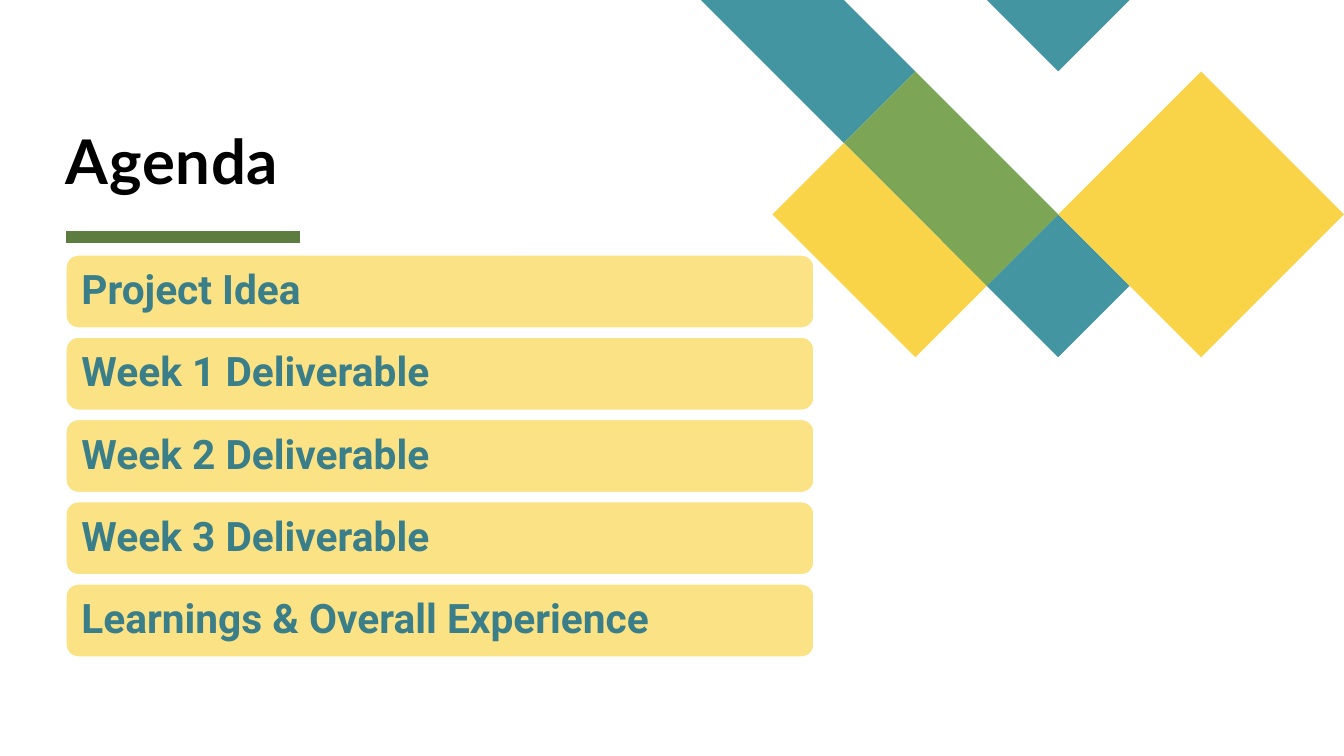
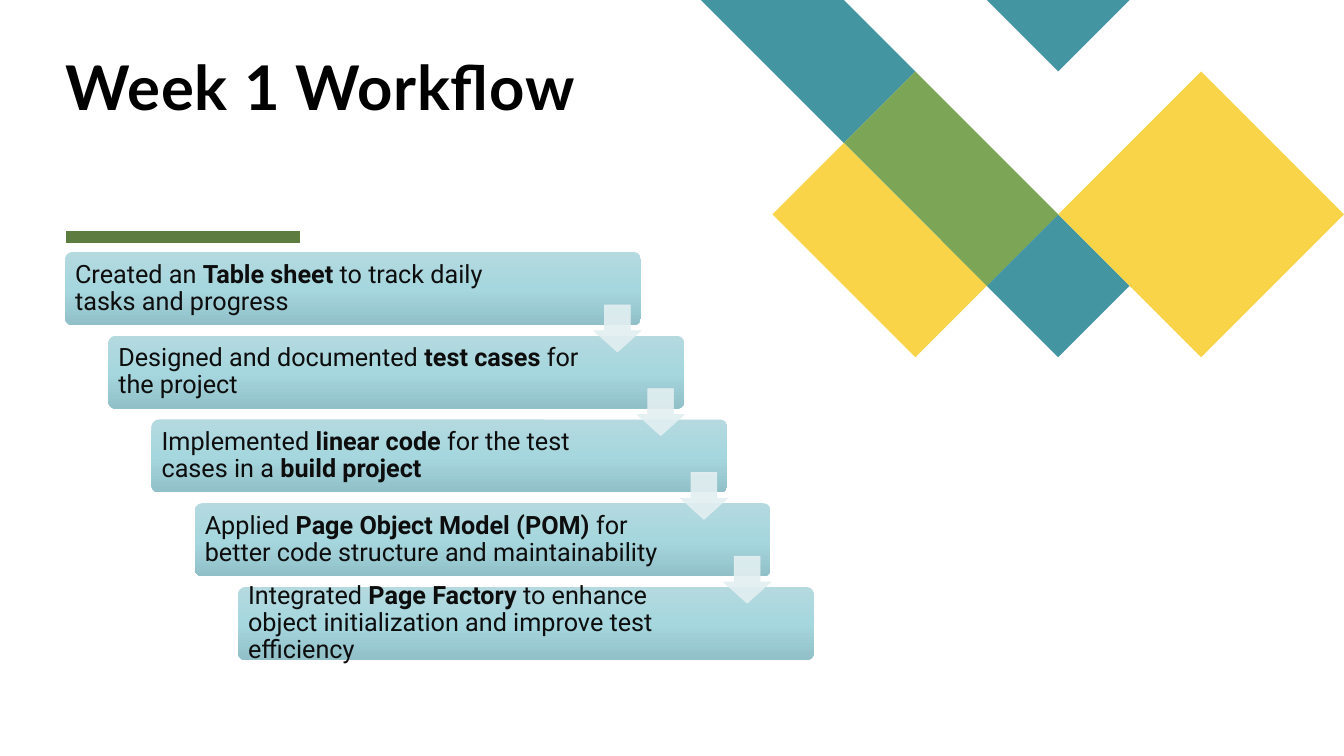
import lxml.etree
import pptx
import pptx.dml.color
import pptx.enum.shapes
import pptx.enum.text
import pptx.oxml.ns
import pptx.util

PX = 914400 / 100.8  # EMU per px
SLIDE_SIZE = (1344, 756)
TITLE_BOX = (66, 21, 748, 175)
HEADING_FONT, BODY_FONT = "Lato", "Roboto"
TEAL, YELLOW, GREEN = "4495A2", "F9D448", "7CA655"
RULE_GREEN, BLACK, WHITE = "5D7D40", "000000", "FFFFFF"
CARD_FILL, CARD_TEXT = "FBE284", "397E89"
STEP_GRADIENT = ((0, "B4DAE0"), (50, "A6D6DE"), (100, "91C0C8"))
STEP_TEXT, ARROW_FILL = "0D0D0D", "E2EFF1"

# Corner motif: outlines as (column, row) points on a square lattice
MOTIF_BOX = (701, 0, 643, 357)
MOTIF_COLUMNS = 9
MOTIF = (
    (TEAL, ((3, 1), (2, 0), (0, 0), (2, 2))),
    (TEAL, ((6, 4), (5, 3), (4, 4), (5, 5))),
    (YELLOW, ((2, 2), (1, 3), (3, 5), (4, 4))),
    (TEAL, ((6, 0), (4, 0), (5, 1))),
    (GREEN, ((3, 1), (2, 2), (4, 4), (5, 3))),
    (YELLOW, ((9, 3), (7, 1), (5, 3), (7, 5))),
)

AGENDA = (
    "Project Idea",
    "Week 1 Deliverable",
    "Week 2 Deliverable",
    "Week 3 Deliverable",
    "Learnings & Overall Experience",
)

# Each step alternates plain and bold text
WORKFLOW = (
    ("Created an ", "Table sheet", " to track daily tasks and progress"),
    ("Designed and documented ", "test cases", " for the project"),
    ("Implemented ", "linear code", " for the test cases in a ", "build project"),
    ("Applied ", "Page Object Model (POM)",
     " for better code structure and maintainability"),
    ("Integrated ", "Page Factory",
     " to enhance object initialization and improve test efficiency"),
)


def px(length):
    return pptx.util.Emu(round(length * PX))


def color(hex_code):
    return pptx.dml.color.RGBColor.from_string(hex_code)


def add_xml(parent, tag, **attributes):
    return lxml.etree.SubElement(parent, pptx.oxml.ns.qn(tag), attributes)


def paint(shape, fill):
    shape.shadow.inherit = False
    shape.fill.solid()
    shape.fill.fore_color.rgb = color(fill)
    shape.line.fill.background()


def paint_gradient(shape, stops):
    """Fill the shape from top to bottom through the given stops."""
    shape.fill.gradient()
    shape.fill.gradient_angle = 270
    stop_list = shape._element.spPr.find(".//" + pptx.oxml.ns.qn("a:gsLst"))
    for old_stop in list(stop_list):
        stop_list.remove(old_stop)
    for percent, hex_code in stops:
        stop = add_xml(stop_list, "a:gs", pos=str(percent * 1000))
        add_xml(stop, "a:srgbClr", val=hex_code)


def set_opacity(shape, percent):
    for solid in shape._element.spPr.iter(pptx.oxml.ns.qn("a:srgbClr")):
        add_xml(solid, "a:alpha", val=str(percent * 1000))


def add_preset(slide, preset, box, fill, adjustments=()):
    shape = slide.shapes.add_shape(preset, *map(px, box))
    paint(shape, fill)
    for index, value in enumerate(adjustments):
        shape.adjustments[index] = value
    return shape


def outline(line, hex_code, points):
    line.color.rgb = color(hex_code)
    line.width = pptx.util.Pt(points)


def write(shape, parts, font, size, ink, spacing, anchor, margins):
    """Write one left-aligned paragraph; every second part is bold."""
    frame = shape.text_frame
    frame.word_wrap = True
    frame.auto_size = pptx.enum.text.MSO_AUTO_SIZE.NONE
    frame.vertical_anchor = anchor
    (frame.margin_left, frame.margin_top,
     frame.margin_right, frame.margin_bottom) = map(px, margins)
    paragraph = frame.paragraphs[0]
    paragraph.alignment = pptx.enum.text.PP_ALIGN.LEFT
    paragraph.line_spacing = spacing
    paragraph.font.name = font
    paragraph.font.size = pptx.util.Pt(size)
    paragraph.font.color.rgb = color(ink)
    for index, part in enumerate(parts):
        run = paragraph.add_run()
        run.text = part
        if index % 2:
            run.font.bold = True
    return paragraph


def add_motif(slide, box):
    left, top, width, _ = box
    for fill, points in MOTIF:
        builder = slide.shapes.build_freeform(
            *points[0], scale=px(width / MOTIF_COLUMNS))
        builder.add_line_segments(points[1:], close=True)
        paint(builder.convert_to_shape(px(left), px(top)), fill)


def add_rule(slide, left, top, width):
    rule = slide.shapes.add_connector(
        pptx.enum.shapes.MSO_CONNECTOR.STRAIGHT,
        px(left), px(top), px(left + width), px(top))
    outline(rule.line, RULE_GREEN, 8)
    add_xml(rule._element.spPr, "a:effectLst")


def add_title(slide, text, box, lift):
    """Place the title, raised by lift px above the bottom of its box."""
    title = slide.shapes.title
    title.left, title.top, title.width, title.height = map(px, box)
    paragraph = write(title, [text], HEADING_FONT, 44, BLACK, 0.8,
                      pptx.enum.text.MSO_ANCHOR.BOTTOM, (0, 0, 0, lift))
    paragraph.font.bold = True
    paragraph.runs[0]._r.get_or_add_rPr().set("spc", "50")


def add_base_slide(deck, title, lift=0):
    title_only = deck.slide_layouts.get_by_name("Title Only")
    slide = deck.slides.add_slide(title_only)
    add_motif(slide, MOTIF_BOX)
    add_rule(slide, 66, 237, 234)
    add_title(slide, title, TITLE_BOX, lift)
    return slide


def add_agenda(slide, box, topics):
    """Stack equal cards from the top to the bottom of the box."""
    left, top, width, height = box
    card_height = 73
    pitch = (height - card_height) / (len(topics) - 1)
    for index, topic in enumerate(topics):
        card = add_preset(
            slide, pptx.enum.shapes.MSO_SHAPE.ROUNDED_RECTANGLE,
            (left, top + index * pitch, width, card_height), CARD_FILL)
        outline(card.line, WHITE, 1)
        paragraph = write(card, [topic], BODY_FONT, 29, CARD_TEXT, 0.9,
                          pptx.enum.text.MSO_ANCHOR.MIDDLE, (12,) * 4)
        paragraph.font.bold = True


def add_staircase(slide, box, steps):
    """Run steps diagonally through the box, with an arrow between each two."""
    left, top, width, height = box
    step_width, step_height, arrow_size = 576, 73, 47
    across = (width - step_width) / (len(steps) - 1)
    down = (height - step_height) / (len(steps) - 1)
    corners = [(left + i * across, top + i * down) for i in range(len(steps))]

    for (x, y), parts in zip(corners, steps):
        step = add_preset(
            slide, pptx.enum.shapes.MSO_SHAPE.ROUNDED_RECTANGLE,
            (x, y, step_width, step_height), STEP_GRADIENT[0][1], [0.1])
        paint_gradient(step, STEP_GRADIENT)
        write(step, parts, BODY_FONT, 18, STEP_TEXT, 0.9,
              pptx.enum.text.MSO_ANCHOR.MIDDLE, (8, 7, 96, 7))

    # Arrows lie over the right end of each step but the last
    for x, y in corners[:-1]:
        arrow = add_preset(
            slide, pptx.enum.shapes.MSO_SHAPE.DOWN_ARROW,
            (x + step_width - arrow_size, y + 53, arrow_size, arrow_size),
            ARROW_FILL, [0.55, 0.45])
        outline(arrow.line, ARROW_FILL, 0.5)
        set_opacity(arrow, 90)


def main():
    deck = pptx.Presentation()
    deck.slide_width, deck.slide_height = map(px, SLIDE_SIZE)

    agenda = add_base_slide(deck, "Agenda")
    add_agenda(agenda, (66, 255, 748, 402), AGENDA)

    workflow = add_base_slide(deck, "Week 1 Workflow", lift=74)
    add_staircase(workflow, (65, 252, 749, 408), WORKFLOW)

    deck.save("out.pptx")


if __name__ == "__main__":
    main()
